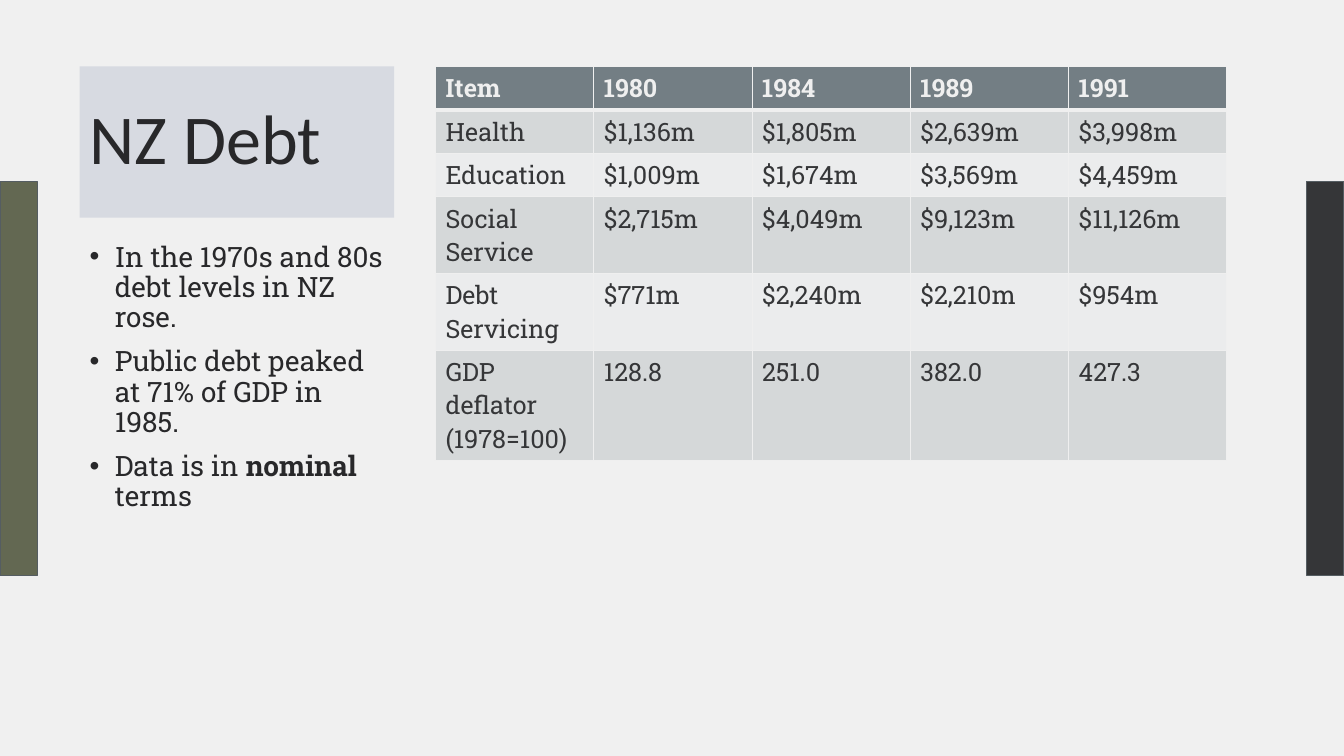
from lxml import etree
from pptx import Presentation, util as u
from pptx.dml.color import RGBColor
from pptx.enum import shapes, text
from pptx.oxml.ns import qn

COLORS = {
    "back": "F0F0F0", "olive": "636852", "dark": "353638", "edge": "555D62",
    "title": "D7DAE1", "ink": "28282A", "header": "737E84",
    "band": "D5D8D9", "plain": "EBECED", "grid": "EFEFEF",
}
ROWS = [
    ["Item", "1980", "1984", "1989", "1991"],
    ["Health", "$1,136m", "$1,805m", "$2,639m", "$3,998m"],
    ["Education", "$1,009m", "$1,674m", "$3,569m", "$4,459m"],
    ["Social Service", "$2,715m", "$4,049m", "$9,123m", "$11,126m"],
    ["Debt Servicing", "$771m", "$2,240m", "$2,210m", "$954m"],
    ["GDP deflator (1978=100)", "128.8", "251.0", "382.0", "427.3"],
]
BULLETS = [
    [("In the 1970s and 80s debt levels in NZ rose.", False)],
    [("Public debt peaked at 71% of GDP in 1985.", False)],
    [("Data is in ", False), ("nominal", True), (" terms", False)],
]


def rgb(name):
    return RGBColor.from_string(COLORS[name])


class SlideBuilder:
    body_font = "Roboto Slab"
    title_font = "Calibri"

    def __init__(self, prs):
        self.s = prs.slides.add_slide(prs.slide_layouts[6])
        fill = self.s.background.fill
        fill.solid()
        fill.fore_color.rgb = rgb("back")

    def run(self, p, words, color, **formats):
        r = p.add_run()
        r.text = words
        r.font.color.rgb = rgb(color)
        for key, value in formats.items():
            setattr(r.font, key, value)

    def box(self, left, top, width, height, fill, line=None):
        sp = self.s.shapes.add_shape(
            shapes.MSO_SHAPE.RECTANGLE, *map(u.Inches, (left, top, width, height)))
        sp.shadow.inherit = False
        sp.fill.solid()
        sp.fill.fore_color.rgb = rgb(fill)
        if line:
            sp.line.color.rgb = rgb(line)
            sp.line.width = u.Pt(1)
        else:
            sp.line.fill.background()
        return sp

    def title(self, words, *place):
        tf = self.box(*place, "title").text_frame
        tf.word_wrap = True
        tf.vertical_anchor = text.MSO_ANCHOR.MIDDLE
        p = tf.paragraphs[0]
        p.alignment = text.PP_ALIGN.LEFT
        p.line_spacing = 0.9
        self.run(p, words, "ink", name=self.title_font, size=u.Pt(50))

    def bullets(self, items, *place):
        tf = self.s.shapes.add_textbox(*map(u.Inches, place)).text_frame
        tf.word_wrap = True
        for i, parts in enumerate(items):
            p = tf.add_paragraph() if i else tf.paragraphs[0]
            p.line_spacing = 0.9
            p.space_before = u.Pt(10 if i else 0)
            pPr = p._p.get_or_add_pPr()
            pPr.set("marL", str(u.Inches(0.25)))
            pPr.set("indent", str(u.Inches(-0.25)))
            etree.SubElement(pPr, qn("a:buFont"), typeface="Arial")
            etree.SubElement(pPr, qn("a:buChar"), char="•")
            for words, bold in parts:
                self.run(p, words, "ink", name=self.body_font, size=u.Pt(20), bold=bold)

    def borders(self, cell, widths):
        tcPr = cell._tc.get_or_add_tcPr()
        for side, width in widths.items():
            ln = etree.SubElement(tcPr, qn(f"a:ln{side}"), w=str(u.Pt(width)))
            solid = etree.SubElement(ln, qn("a:solidFill"))
            etree.SubElement(solid, qn("a:srgbClr"), val=COLORS["grid"])

    def table(self, rows, left, top, col_width, row_height):
        n_rows, n_cols = len(rows), len(rows[0])
        tbl = self.s.shapes.add_table(
            n_rows, n_cols, u.Inches(left), u.Inches(top),
            u.Inches(col_width * n_cols), u.Inches(row_height * n_rows)).table
        tbl.first_row = tbl.horz_banding = False
        for i, values in enumerate(rows):
            header = i == 0
            fill = "header" if header else "band" if i % 2 else "plain"
            for j, value in enumerate(values):
                cell = tbl.cell(i, j)
                self.borders(cell, {"L": 1, "R": 1, "T": 3 if i == 1 else 1,
                                    "B": 3 if header else 1})
                cell.fill.solid()
                cell.fill.fore_color.rgb = rgb(fill)
                self.run(cell.text_frame.paragraphs[0], value, "grid" if header else "dark",
                         name=self.body_font, size=u.Pt(18), bold=header)


def main():
    prs = Presentation()
    prs.slide_width, prs.slide_height = u.Inches(13.33), u.Inches(7.5)
    slide = SlideBuilder(prs)
    for left, fill in ((12.96, "dark"), (0, "olive")):
        slide.box(left, 1.8, 0.37, 3.91, fill, "edge")
    slide.title("NZ Debt", 0.79, 0.66, 3.12, 1.5)
    slide.table(ROWS, 4.32, 0.66, 1.57, 0.41)
    slide.bullets(BULLETS, 0.79, 2.36, 3.12, 3.75)
    prs.save("out.pptx")


if __name__ == "__main__":
    main()
